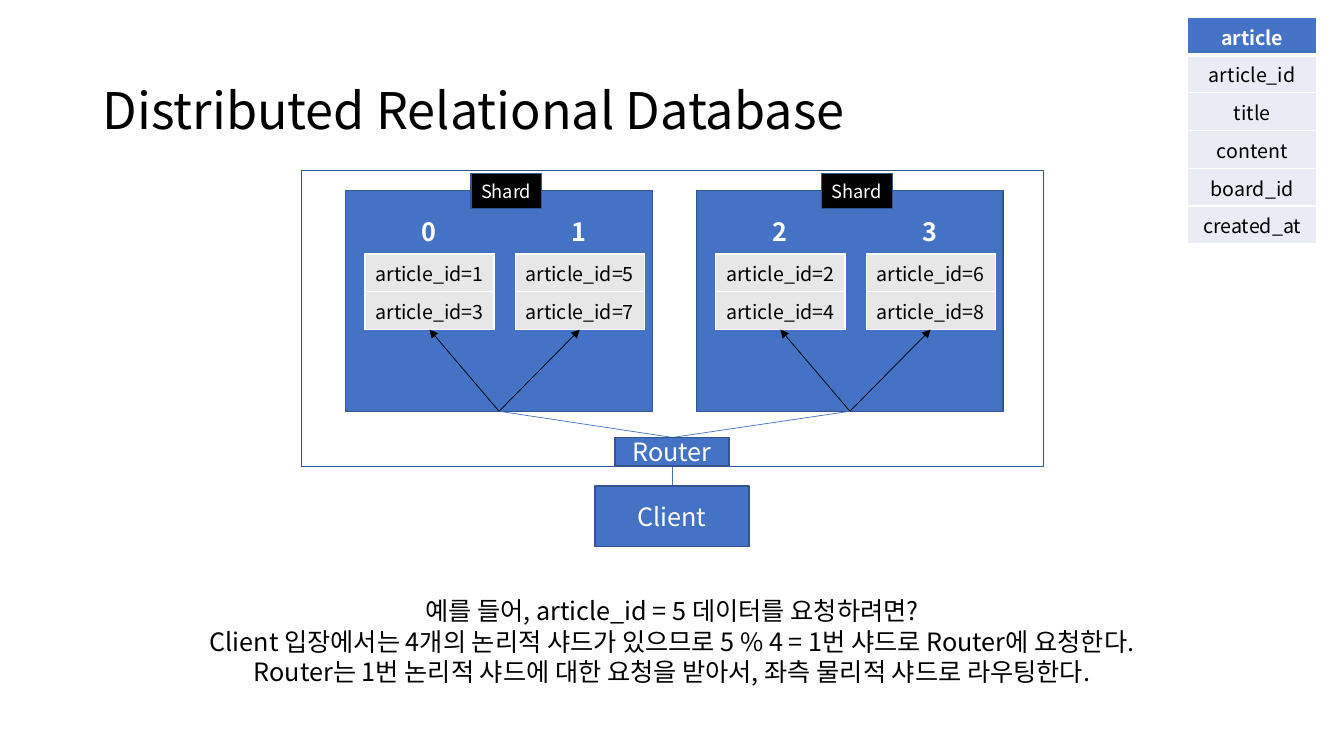
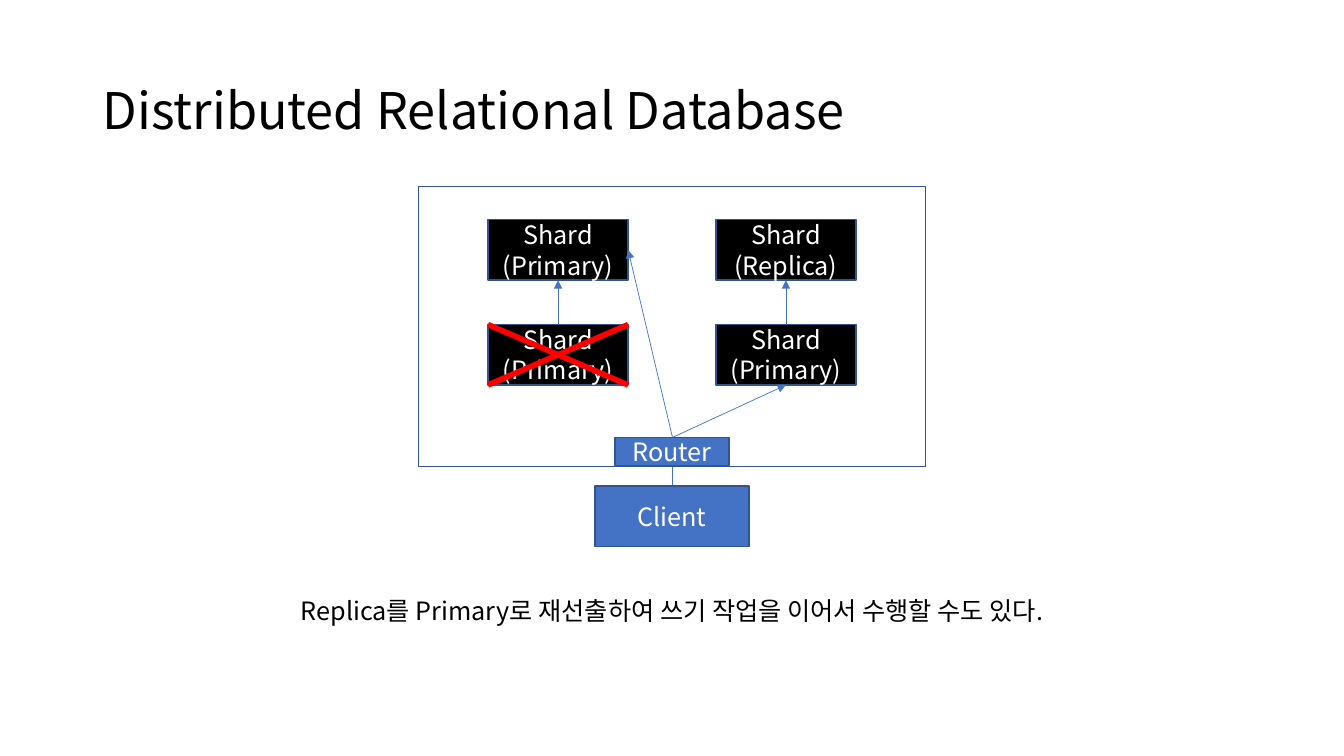
from lxml.etree import SubElement
from pptx import Presentation
from pptx.dml.color import RGBColor
from pptx.enum.shapes import MSO_CONNECTOR, MSO_SHAPE
from pptx.enum.text import MSO_ANCHOR, PP_ALIGN
from pptx.oxml.ns import qn
from pptx.util import Inches, Pt

FONT = "Noto Sans CJK KR"
WHITE = RGBColor(0xFF, 0xFF, 0xFF)
BLACK = RGBColor(0x00, 0x00, 0x00)
BLUE = RGBColor(0x44, 0x72, 0xC4)
OUTLINE = RGBColor(0x32, 0x54, 0x91)
GRAY = RGBColor(0xE7, 0xE7, 0xE7)
PALE_BLUE = RGBColor(0xE9, 0xEB, 0xF5)
RED = RGBColor(0xFF, 0x00, 0x00)

TITLE = "Distributed Relational Database"
ROUTING_CAPTION = [
    "예를 들어, article_id = 5 데이터를 요청하려면?",
    "Client 입장에서는 4개의 논리적 샤드가 있으므로 5 % 4 = 1번 샤드로 Router에 요청한다.",
    "Router는 1번 논리적 샤드에 대한 요청을 받아서, 좌측 물리적 샤드로 라우팅한다.",
]
FAILOVER_CAPTION = ["Replica를 Primary로 재선출하여 쓰기 작업을 이어서 수행할 수도 있다."]
ARTICLE_FIELDS = ["article", "article_id", "title", "content", "board_id", "created_at"]
# Each physical shard holds logical shards: (number, rows)
PHYSICAL_SHARDS = [
    [("0", ["article_id=1", "article_id=3"]), ("1", ["article_id=5", "article_id=7"])],
    [("2", ["article_id=2", "article_id=4"]), ("3", ["article_id=6", "article_id=8"])],
]
# Each column of nodes: (upper role, lower role)
NODE_COLUMNS = [("(Primary)", "(Primary)"), ("(Replica)", "(Primary)")]

CENTER = 6.67
ROUTER = (6.1, 4.34, 1.13, 0.28)
CLIENT = (5.9, 4.82, 1.53, 0.6)
ROUTER_TOP = (CENTER, ROUTER[1])
TABLE_WIDTH, ROW_HEIGHT = 1.28, 0.375


def write(frame, lines, color, size=18, align=PP_ALIGN.CENTER, bold=False, spacing=None):
    for index, line in enumerate(lines):
        para = frame.paragraphs[0] if index == 0 else frame.add_paragraph()
        para.alignment = align
        if spacing:
            para.line_spacing = spacing
        span = para.add_run()
        span.text = line
        for name, value in {"name": FONT, "size": Pt(size), "bold": bold}.items():
            setattr(span.font, name, value)
        span.font.color.rgb = color
        SubElement(span.font._element, qn("a:ea"), typeface=FONT)


def add_text(page, area, lines, color=BLACK, wrap=True, anchor=MSO_ANCHOR.TOP, **style):
    box = page.shapes.add_textbox(*map(Inches, area))
    box.text_frame.word_wrap = wrap
    box.text_frame.vertical_anchor = anchor
    write(box.text_frame, lines, color, **style)


def add_box(page, area, fill=None, lines=(), size=18):
    box = page.shapes.add_shape(MSO_SHAPE.RECTANGLE, *map(Inches, area))
    box.shadow.inherit = False
    if fill is None:
        box.fill.background()
    else:
        box.fill.solid()
        box.fill.fore_color.rgb = fill
    box.line.color.rgb = OUTLINE
    box.line.width = Pt(1)
    box.text_frame.vertical_anchor = MSO_ANCHOR.MIDDLE
    write(box.text_frame, lines, WHITE, size)


def add_line(page, start, end, color=BLUE, width=0.5, arrow=False):
    line = page.shapes.add_connector(MSO_CONNECTOR.STRAIGHT, *map(Inches, start + end))
    line.line.color.rgb = color
    line.line.width = Pt(width)
    properties = line._element.spPr
    if arrow:
        SubElement(properties.find(qn("a:ln")), qn("a:tailEnd"), type="triangle")
    SubElement(properties, qn("a:effectLst"))


def add_border(cell, side, width):
    edge = SubElement(cell._tc.get_or_add_tcPr(), qn(f"a:ln{side}"), w=str(Pt(width)))
    paint = SubElement(edge, qn("a:solidFill"))
    SubElement(paint, qn("a:srgbClr"), val=str(WHITE))


def add_column_table(page, left, top, rows, fill, header=False):
    """Draw a one-column table, with a blue first row if header is set."""
    area = (left, top, TABLE_WIDTH, ROW_HEIGHT * len(rows))
    table = page.shapes.add_table(len(rows), 1, *map(Inches, area)).table
    table.first_row = header
    table.horz_banding = False
    for index, text in enumerate(rows):
        is_header = header and index == 0
        cell = table.cell(index, 0)
        for side in "LRTB":
            thick = (is_header and side == "B") or (header and index == 1 and side == "T")
            add_border(cell, side, 3 if thick else 1)
        cell.fill.solid()
        cell.fill.fore_color.rgb = BLUE if is_header else fill
        write(cell.text_frame, [text], WHITE if is_header else BLACK, 14, bold=is_header)


def add_page(deck, frame, caption):
    """Add a slide with the title, cluster frame, client and caption."""
    page = deck.slides.add_slide(deck.slide_layouts[6])
    add_text(page, (0.92, 0.4, 11.5, 1.45), [TITLE], size=36, align=PP_ALIGN.LEFT,
             anchor=MSO_ANCHOR.MIDDLE, spacing=0.9)
    add_box(page, frame)
    add_line(page, (CENTER, 4.63), (CENTER, CLIENT[1]))
    add_box(page, CLIENT, BLUE, ["Client"])
    add_text(page, (0, 5.86, 13.33, 0.1 + 0.3 * len(caption)), caption)
    return page


def add_router(page):
    add_box(page, ROUTER, BLUE, ["Router"])


def build_routing(deck):
    page = add_page(deck, (2.99, 1.69, 7.36, 2.94), ROUTING_CAPTION)
    top, width, height, table_top = 1.89, 3.04, 2.19, 2.52
    for column, logical_shards in enumerate(PHYSICAL_SHARDS):
        left = 3.43 + 3.48 * column
        gate = (left + width / 2, top + height)
        add_box(page, (left, top, width, height), BLUE)
        add_box(page, (left + 1.24, 1.72, 0.7, 0.35), BLACK, ["Shard"], 13)
        for index, (number, rows) in enumerate(logical_shards):
            table_left = left + 0.19 + 1.49 * index
            add_column_table(page, table_left, table_top, rows, GRAY)
            add_text(page, (table_left + 0.46, 2.1, 0.35, 0.4), [number], WHITE,
                     wrap=False, align=PP_ALIGN.LEFT, bold=True)
            table_foot = (table_left + TABLE_WIDTH / 2, table_top + ROW_HEIGHT * len(rows))
            add_line(page, gate, table_foot, BLACK, arrow=True)
        add_line(page, ROUTER_TOP, gate)
    add_router(page)
    add_column_table(page, 11.78, 0.17, ARTICLE_FIELDS, PALE_BLUE, header=True)


def build_failover(deck):
    page = add_page(deck, (4.15, 1.85, 5.03, 2.78), FAILOVER_CAPTION)
    lefts, upper, lower, width, height = (4.84, 7.1), 2.18, 3.22, 1.39, 0.6
    for left, roles in zip(lefts, NODE_COLUMNS):
        for top, role in zip((upper, lower), roles):
            add_box(page, (left, top, width, height), BLACK, ["Shard", role])
        middle = left + width / 2
        add_line(page, (middle, lower), (middle, upper + height), arrow=True)

    failed, healthy = lefts
    right, bottom = failed + width, lower + height
    add_line(page, ROUTER_TOP, (right, upper + height / 2), arrow=True)
    add_line(page, ROUTER_TOP, (healthy + width / 2, bottom), arrow=True)
    for start, end in ((lower, bottom), (bottom, lower)):
        add_line(page, (failed, start), (right, end), RED, 4)
    add_router(page)


def main():
    deck = Presentation()
    deck.slide_width, deck.slide_height = Inches(13.33), Inches(7.5)
    build_routing(deck)
    build_failover(deck)
    deck.save("out.pptx")


if __name__ == "__main__":
    main()
